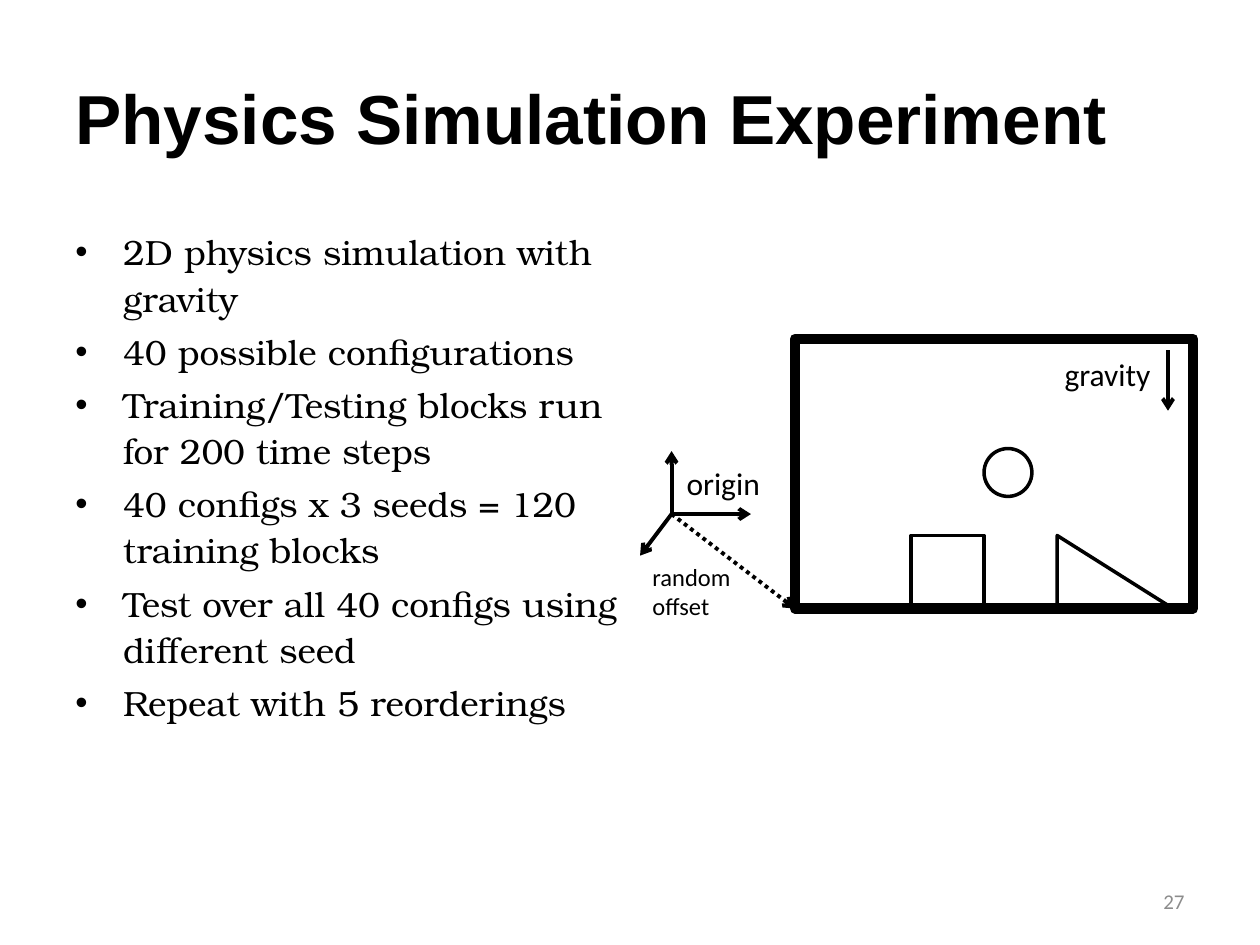
from lxml.etree import SubElement
from pptx import Presentation
from pptx.dml.color import RGBColor
from pptx.enum.dml import MSO_LINE
from pptx.enum.shapes import MSO_CONNECTOR, MSO_SHAPE
from pptx.enum.text import MSO_ANCHOR, PP_ALIGN
from pptx.oxml.ns import qn
from pptx.util import Inches, Pt

BLACK = "000000"
GREY = "8C8C8C"


def color(hex_string):
    return RGBColor.from_string(hex_string)


class SlideBuilder:
    def __init__(self, slide):
        self.slide = slide

    def text(self, lines, left, top, width, height, size, font="Calibri",
             ink=BLACK, bold=False, align=PP_ALIGN.LEFT,
             anchor=MSO_ANCHOR.TOP, wrap=True):
        box = self.slide.shapes.add_textbox(
            Inches(left), Inches(top), Inches(width), Inches(height))
        frame = box.text_frame
        frame.text = "\n".join(lines)
        frame.word_wrap = wrap
        frame.vertical_anchor = anchor
        for paragraph in frame.paragraphs:
            paragraph.alignment = align
            for run in paragraph.runs:
                run.font.size = Pt(size)
                run.font.name = font
                run.font.bold = bold
                run.font.color.rgb = color(ink)
        return frame

    def bullets(self, lines, left, top, width, height, size, font):
        frame = self.text(lines, left, top, width, height, size, font)
        for index, paragraph in enumerate(frame.paragraphs):
            properties = paragraph._p.get_or_add_pPr()
            properties.set("marL", str(Inches(0.38)))
            properties.set("indent", str(-Inches(0.38)))
            SubElement(properties, qn("a:buFont"), typeface="Arial")
            SubElement(properties, qn("a:buChar"), char="•")
            paragraph.line_spacing = 1.1
            paragraph.space_before = Pt(4 if index else 0)

    def outline(self, preset, left, top, width, height, weight=2):
        shape = self.slide.shapes.add_shape(
            preset, Inches(left), Inches(top), Inches(width), Inches(height))
        shape.shadow.inherit = False
        shape.fill.background()
        shape.line.color.rgb = color(BLACK)
        shape.line.width = Pt(weight)

    def arrow(self, start, end, dash=None):
        connector = self.slide.shapes.add_connector(
            MSO_CONNECTOR.STRAIGHT, *map(Inches, (*start, *end)))
        connector.line.color.rgb = color(BLACK)
        connector.line.width = Pt(2.25)
        if dash:
            connector.line.dash_style = dash
        SubElement(connector.line._get_or_add_ln(), qn("a:tailEnd"), type="arrow")
        SubElement(connector._element.spPr, qn("a:effectLst"))


def main():
    presentation = Presentation()
    presentation.slide_width = Inches(10)
    presentation.slide_height = Inches(7.5)
    builder = SlideBuilder(
        presentation.slides.add_slide(presentation.slide_layouts[6]))

    builder.text(["Physics Simulation Experiment"], 0.5, 0.3, 9, 1.25, 39.6,
                 "Arial", bold=True, anchor=MSO_ANCHOR.MIDDLE)
    builder.bullets([
        "2D physics simulation with gravity",
        "40 possible configurations",
        "Training/Testing blocks run for 200 time steps",
        "40 configs x 3 seeds = 120 training blocks",
        "Test over all 40 configs using different seed",
        "Repeat with 5 reorderings",
    ], 0.5, 1.75, 4.5, 4.95, 20, "TeX Gyre Bonum")

    # Simulated world: obstacles on the floor, walls and a falling ball
    world_left, world_top, world_width, world_height = 6.31, 2.69, 3.16, 2.14
    floor = world_top + world_height
    obstacle_height = 0.58
    obstacle_top = floor - obstacle_height
    builder.outline(MSO_SHAPE.RECTANGLE, 7.23, obstacle_top, 0.58, obstacle_height)
    builder.outline(MSO_SHAPE.RIGHT_TRIANGLE, 8.39, obstacle_top, 0.92, obstacle_height)
    builder.outline(MSO_SHAPE.RECTANGLE, world_left, world_top,
                    world_width, world_height, weight=6)
    builder.outline(MSO_SHAPE.OVAL, 7.81, 3.56, 0.38, 0.38)
    builder.arrow((9.27, 2.78), (9.27, 3.26))
    builder.text(["gravity"], 8.35, 2.77, 0.89, 0.4, 18, wrap=False)

    # Coordinate axes and the offset from the origin to the world's corner
    origin = (5.33, 4.08)
    for axis_end in ((5.96, 4.08), (5.33, 3.58), (5.08, 4.41)):
        builder.arrow(origin, axis_end)
    builder.arrow(origin, (world_left, floor), MSO_LINE.ROUND_DOT)
    builder.text(["random offset"], 5.08, 4.41, 1.03, 0.57, 14)
    builder.text(["origin"], 5.35, 3.63, 0.79, 0.4, 18, wrap=False)

    builder.text(["27"], 7.17, 6.95, 2.33, 0.4, 12, ink=GREY,
                 align=PP_ALIGN.RIGHT, anchor=MSO_ANCHOR.MIDDLE)
    presentation.save("out.pptx")


if __name__ == "__main__":
    main()
